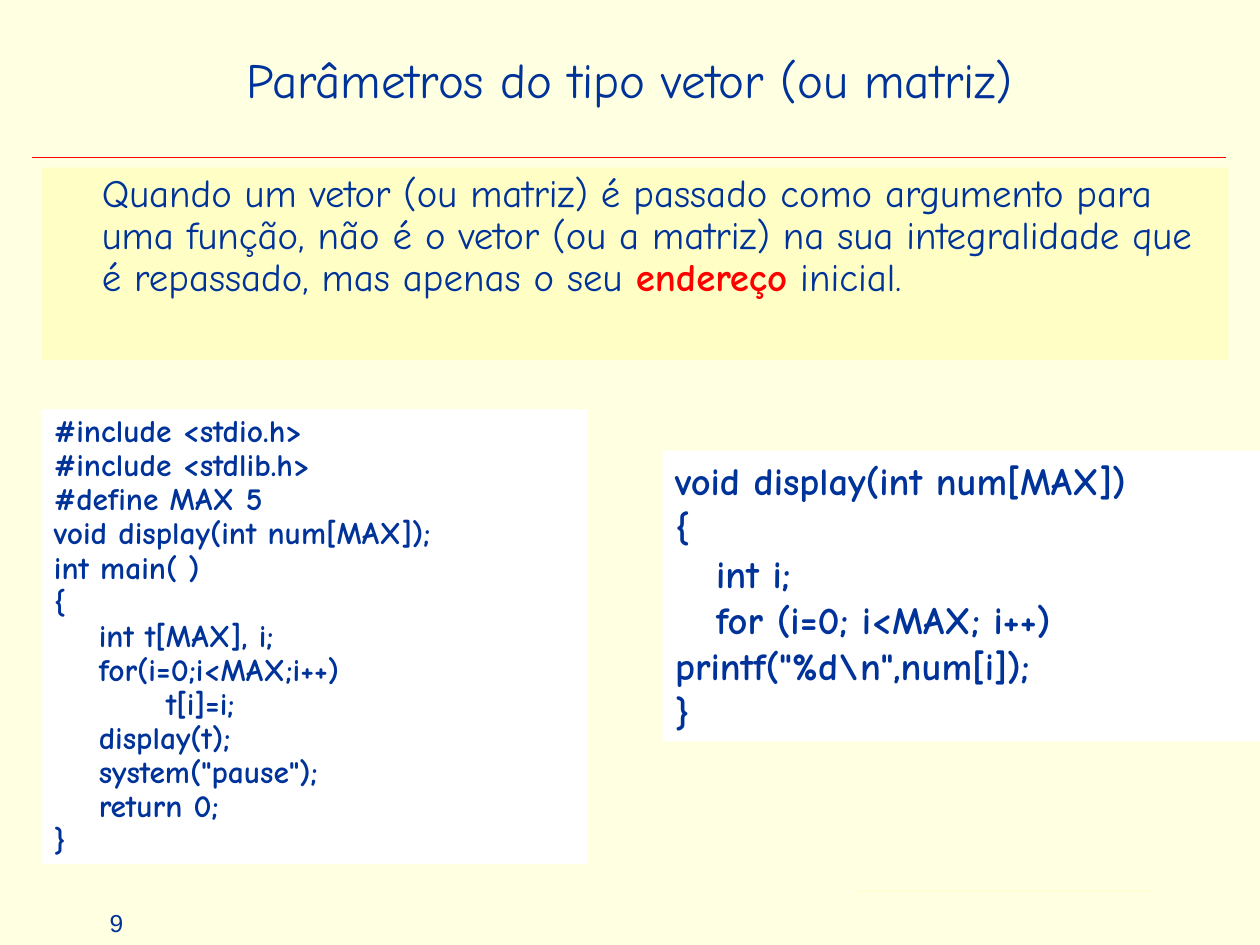
from lxml import etree
from pptx import Presentation
from pptx import util as u
from pptx.dml.color import RGBColor
from pptx.enum import shapes, text
from pptx.oxml import ns

WIDTH, HEIGHT = 10, 7.5
FONT = "Comic Neue"
NAVY = RGBColor(0x00, 0x33, 0x99)
RED = RGBColor(0xFF, 0x00, 0x00)
WHITE = RGBColor(0xFF, 0xFF, 0xFF)
CREAM = RGBColor(0xFF, 0xFF, 0xE1)
PALE = RGBColor(0xFF, 0xFF, 0xD3)
YELLOW = RGBColor(0xFF, 0xFF, 0xC5)
LEFT = 0.33  # shared left edge of the panels

MAIN_CODE = """#include <stdio.h>
#include <stdlib.h>
#define MAX 5
void display(int num[MAX]);
int main( )
{
    int t[MAX], i;
    for(i=0;i<MAX;i++)
          t[i]=i;
    display(t);
    system("pause");
    return 0;
}"""

DISPLAY_CODE = r"""void display(int num[MAX])
{
   int i;
   for (i=0; i<MAX; i++)
printf("%d\n",num[i]);
}"""


def set_font(font, size, name=FONT, bold=False):
    font.name, font.size, font.bold = name, u.Pt(size), bold
    font.color.rgb = NAVY


def add_rule(s, x1, x2, y, color):
    line = s.shapes.add_connector(shapes.MSO_CONNECTOR.STRAIGHT,
                                  u.Inches(x1), u.Inches(y), u.Inches(x2), u.Inches(y))
    line.line.color.rgb = color
    line.line.width = u.Pt(1)
    etree.SubElement(line._element.spPr, ns.qn("a:effectLst"))


def add_panel(s, x, y, w, h, fill=None):
    sp = s.shapes.add_textbox(*map(u.Inches, (x, y, w, h)))
    if fill is not None:
        sp.fill.solid()
        sp.fill.fore_color.rgb = fill
    sp.text_frame.word_wrap = True
    return sp.text_frame


def add_code(s, x, y, w, h, code, size, spacing):
    tf = add_panel(s, x, y, w, h, WHITE)
    for i, row in enumerate(code.split("\n")):
        p = tf.add_paragraph() if i else tf.paragraphs[0]
        p.text = row
        p.line_spacing = spacing
        set_font(p.font, size, bold=True)


def add_title(s, title):
    sp = s.shapes.title
    sp.left, sp.top, sp.width, sp.height = map(u.Inches, (0.75, 0, 8.5, 1.25))
    tf = sp.text_frame
    tf.text = title
    tf.vertical_anchor = text.MSO_ANCHOR.MIDDLE
    p = tf.paragraphs[0]
    p.alignment = text.PP_ALIGN.CENTER
    set_font(p.font, 28)


def add_statement(s, before, key, after):
    p = add_panel(s, LEFT, 1.33, 9.42, 1.53, YELLOW).paragraphs[0]
    p._p.get_or_add_pPr().set("marL", str(u.Inches(0.38)))
    p.line_spacing = 0.9
    set_font(p.font, 22.2)
    for words in (before, key, after):
        r = p.add_run()
        r.text = words
        if words == key:
            r.font.bold = True
            r.font.color.rgb = RED


def add_page_number(s, number):
    tf = add_panel(s, 0.3, 7.16, 1.25, 0.33)
    tf.vertical_anchor = text.MSO_ANCHOR.MIDDLE
    p = tf.paragraphs[0]
    p.text = number
    p.alignment = text.PP_ALIGN.CENTER
    set_font(p.font, 14, "Arial")


def main():
    prs = Presentation()
    prs.slide_width, prs.slide_height = u.Inches(WIDTH), u.Inches(HEIGHT)
    s = prs.slides.add_slide(prs.slide_layouts[5])
    s.background.fill.solid()
    s.background.fill.fore_color.rgb = CREAM

    # Frame: rules, page number and title
    add_rule(s, 0.25, 9.73, 1.25, RED)
    add_rule(s, 6.8, 9.14, 7.07, PALE)
    add_page_number(s, "9")
    add_title(s, "Parâmetros do tipo vetor (ou matriz)")

    # Statement and the two code panels
    add_statement(s, "Quando um vetor (ou matriz) é passado como argumento para uma "
                  "função, não é o vetor (ou a matriz) na sua integralidade que é "
                  "repassado, mas apenas o seu ", "endereço", " inicial.")
    add_code(s, LEFT, 3.25, 4.33, 3.61, MAIN_CODE, 18, 0.9)
    add_code(s, 5.26, 3.58, WIDTH - 5.26, 2.3, DISPLAY_CODE, 22, 1.0)

    prs.save("out.pptx")


if __name__ == "__main__":
    main()
